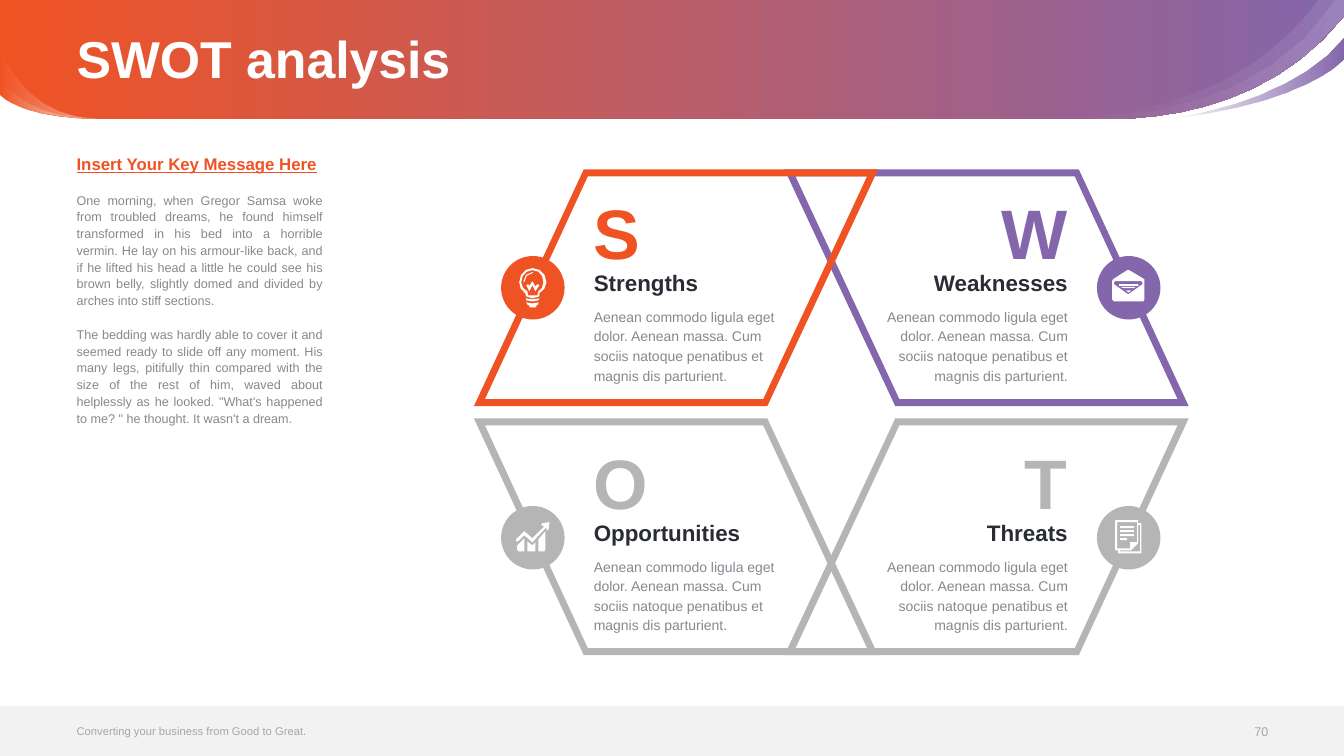
from dataclasses import dataclass

from lxml.etree import SubElement
from pptx import Presentation
from pptx.dml.color import RGBColor
from pptx.enum.shapes import MSO_SHAPE
from pptx.enum.text import MSO_ANCHOR, MSO_AUTO_SIZE, PP_ALIGN
from pptx.oxml.ns import qn
from pptx.util import Pt

EMU_PER_PX = 9144  # 100 px to the inch
SLIDE_WIDTH, SLIDE_HEIGHT = 1333, 750
FRAME_MIRROR_X, FRAME_MIRROR_Y = 1649, 818
ROW_STEP = 248
BADGE_SIZE = 63
MAX_CURVE_STEPS = 10
PX_PER_CURVE_STEP = 4

ORANGE = RGBColor(0xF0, 0x53, 0x23)
PURPLE = RGBColor(0x84, 0x66, 0xAC)
SILVER = RGBColor(0xB5, 0xB5, 0xB5)
WHITE = RGBColor(0xFF, 0xFF, 0xFF)
INK = RGBColor(0x29, 0x2C, 0x34)
BODY_GRAY = RGBColor(0x85, 0x89, 0x8F)
FOOTER_GRAY = RGBColor(0xA6, 0xA6, 0xA6)
FOOTER_FILL = RGBColor(0xF2, 0xF2, 0xF2)

# A contour step is a point (x, y) or a cubic curve (x1, y1, x2, y2, x, y).
Contour = list[tuple[int, ...]]


@dataclass(frozen=True)
class Stop:
    position: float
    color: RGBColor
    opacity: int = 100


@dataclass(frozen=True)
class Swoosh:
    contour: Contour
    stops: tuple[Stop, Stop]


@dataclass(frozen=True)
class Icon:
    left: int
    top: int
    contours: list[Contour]


@dataclass(frozen=True)
class Quadrant:
    heading: str
    color: RGBColor
    right: bool
    lower: bool
    icon: Icon


def bar(left: int, top: int, right: int, bottom: int) -> Contour:
    return [(left, top), (right, top), (right, bottom), (left, bottom)]


GLOSS = (Stop(0.15, WHITE, 0), Stop(1, WHITE, 10))
WISP = (Stop(0, WHITE, 0), Stop(1, WHITE, 50))
SWOOSHES = [
    Swoosh([(1333, 0), (1333, 16), (1266, 100, 1170, 117, 1105, 118), (97, 118),
            (18, 117, 0, 94, 0, 94), (0, 0)], (Stop(0, ORANGE), Stop(1, PURPLE))),
    Swoosh([(1333, 0), (1333, 16), (1224, 153, 1039, 113, 1034, 112),
            (1040, 112, 1232, 139, 1324, 0)], GLOSS),
    Swoosh([(1157, 118), (1157, 118, 1282, 103, 1333, 37), (1333, 59),
            (1333, 59, 1294, 104, 1157, 118)], (Stop(0, PURPLE, 0), Stop(1, PURPLE))),
    Swoosh([(1333, 0), (1333, 16), (1223, 155, 1034, 112, 1034, 112),
            (1189, 122, 1270, 50, 1307, 0)], GLOSS),
    Swoosh([(98, 118), (18, 117, 0, 94, 0, 94), (0, 76), (0, 76, 18, 117, 98, 118)], WISP),
    Swoosh([(98, 118), (18, 117, 0, 94, 0, 94), (0, 45), (0, 45, 18, 116, 98, 118)], WISP),
]

FRAME: list[Contour] = [
    [(761, 403), (470, 403), (579, 168), (871, 168)],
    [(481, 396), (757, 396), (860, 175), (583, 175)],
]

BULB = Icon(515, 266, [
    [(13, 0), (6, 0, 0, 6, 0, 14), (0, 18, 2, 23, 6, 25), (7, 28), (13, 30),
     (20, 28), (20, 25), (24, 23, 27, 18, 27, 14), (27, 6, 21, 0, 13, 0)],
    [(19, 23), (18, 27), (9, 27), (8, 23), (5, 22, 2, 18, 2, 14),
     (2, 7, 7, 2, 13, 2), (20, 2, 24, 7, 24, 14), (24, 18, 22, 22, 19, 23)],
    [(7, 30), (7, 32), (13, 33), (19, 32), (20, 30), (13, 31)],
    [(7, 34), (8, 36), (10, 37), (10, 39), (17, 39), (17, 37), (19, 36), (19, 34), (13, 35)],
    [(16, 18), (13, 13), (10, 18), (9, 16), (7, 17), (10, 23), (13, 17), (16, 23), (20, 17), (18, 16)],
    [(13, 5), (14, 4), (13, 4), (8, 4, 4, 8, 4, 14), (5, 14), (5, 9, 9, 5, 13, 5)],
])
ENVELOPE = Icon(1103, 268, [
    [(32, 9), (17, 0), (15, 0), (1, 9), (0, 11), (0, 29), (2, 31), (31, 31), (32, 29), (32, 11)],
    [(30, 14), (16, 24), (2, 14), (2, 12), (3, 11), (29, 11), (30, 12)],
    [(16, 22), (17, 22), (19, 20), (14, 20)],
    [(12, 18), (21, 18), (23, 17), (9, 17)],
    bar(7, 14, 26, 16),
])
GROWTH = Icon(512, 518, [
    [(1, 27), (2, 29), (8, 29), (8, 16), (1, 23)],
    [(11, 19), (11, 29), (19, 29), (19, 20), (16, 23)],
    [(22, 17), (22, 29), (28, 29), (29, 27), (29, 9), (23, 16)],
    [(26, 1), (25, 2), (26, 4), (28, 4), (16, 16), (8, 9), (0, 17), (0, 19), (2, 19), (8, 13),
     (16, 20), (30, 5), (30, 7), (31, 8), (32, 8), (33, 0)],
])
PAGES = Icon(1106, 516, [
    [(23, 3), (23, 0), (0, 0), (0, 30), (3, 30), (3, 33), (26, 33), (26, 3)],
    [(2, 28), (2, 2), (22, 2), (22, 22), (15, 22), (15, 28)],
    [(25, 31), (5, 31), (5, 30), (16, 30), (23, 23), (23, 5), (25, 5)],
    *[bar(5, top, 19, top + 2) for top in (6, 10, 14)],
    bar(5, 18, 12, 20),
])

QUADRANTS = [
    Quadrant("Weaknesses", PURPLE, True, False, ENVELOPE),
    Quadrant("Opportunities", SILVER, False, True, GROWTH),
    Quadrant("Threats", SILVER, True, True, PAGES),
    Quadrant("Strengths", ORANGE, False, False, BULB),
]
DESCRIPTION = ("Aenean commodo ligula eget dolor. Aenean massa. Cum sociis natoque "
               "penatibus et magnis dis parturient.")
MESSAGE = [
    "Insert Your Key Message Here",
    "One morning, when Gregor Samsa woke from troubled dreams, he found himself transformed in "
    "his bed into a horrible vermin. He lay on his armour-like back, and if he lifted his head a "
    "little he could see his brown belly, slightly domed and divided by arches into stiff sections.",
    "The bedding was hardly able to cover it and seemed ready to slide off any moment. His many "
    "legs, pitifully thin compared with the size of the rest of him, waved about helplessly as he "
    "looked. \"What's happened to me? \" he thought. It wasn't a dream.",
]


def px(*lengths: int) -> list[int]:
    return [length * EMU_PER_PX for length in lengths]


def flatten(contour: Contour) -> list[tuple[float, float]]:
    """Turn a contour into EMU points, sampling long curves more often than short ones."""
    points = [tuple(px(*contour[0]))]
    for step in contour[1:]:
        if len(step) == 2:
            points.append(tuple(px(*step)))
            continue
        x0, y0 = points[-1]
        x1, y1, x2, y2, x3, y3 = px(*step)
        span = max(abs(x3 - x0), abs(y3 - y0)) / EMU_PER_PX
        count = min(MAX_CURVE_STEPS, max(1, int(span // PX_PER_CURVE_STEP)))
        for index in range(1, count + 1):
            t = index / count
            a, b, c, d = (1 - t) ** 3, 3 * t * (1 - t) ** 2, 3 * t * t * (1 - t), t ** 3
            points.append((a * x0 + b * x1 + c * x2 + d * x3, a * y0 + b * y1 + c * y2 + d * y3))
    return points


def add_outline(slide, contours: list[Contour], color: RGBColor | None = None):
    first, *others = [flatten(contour) for contour in contours]
    builder = slide.shapes.build_freeform(*first[0])
    builder.add_line_segments(first[1:], close=True)
    for points in others:
        builder.move_to(*points[0])
        builder.add_line_segments(points[1:], close=True)
    return finish(builder.convert_to_shape(), color)


def finish(shape, color: RGBColor | None):
    shape.shadow.inherit = False
    shape.line.fill.background()
    if color is not None:
        shape.fill.solid()
        shape.fill.fore_color.rgb = color
    return shape


def add_swoosh(slide, swoosh: Swoosh) -> None:
    shape = add_outline(slide, [swoosh.contour])
    shape.fill.gradient()
    shape.fill.gradient_angle = 0
    for gradient_stop, stop in zip(shape.fill.gradient_stops, swoosh.stops):
        gradient_stop.position = stop.position
        gradient_stop.color.rgb = stop.color
    for color_element, stop in zip(shape.element.iter(qn("a:srgbClr")), swoosh.stops):
        if stop.opacity < 100:
            SubElement(color_element, qn("a:alpha")).set("val", str(stop.opacity * 1000))


def place(shape, left: int, top: int, width: int, height: int, anchor=MSO_ANCHOR.TOP):
    shape.left, shape.top, shape.width, shape.height = px(left, top, width, height)
    frame = shape.text_frame
    frame.margin_left = frame.margin_top = frame.margin_right = frame.margin_bottom = 0
    frame.word_wrap, frame.auto_size, frame.vertical_anchor = True, MSO_AUTO_SIZE.NONE, anchor
    return frame


def style(paragraph, size: int, color: RGBColor, bold=False, align=PP_ALIGN.LEFT, spacing=None) -> None:
    paragraph.alignment, paragraph.line_spacing = align, spacing
    font = paragraph.font
    font.name, font.size, font.bold, font.color.rgb = "Arial", Pt(size), bold, color


def add_label(slide, text: str, box: tuple[int, int, int, int], size: int, color: RGBColor,
              anchor=MSO_ANCHOR.TOP, **options) -> None:
    frame = place(slide.shapes.add_textbox(0, 0, 0, 0), *box, anchor)
    frame.text = text
    style(frame.paragraphs[0], size, color, **options)


def add_quadrant(slide, quadrant: Quadrant) -> None:
    add_outline(slide, [[(FRAME_MIRROR_X - x if quadrant.right else x,
                          FRAME_MIRROR_Y - y if quadrant.lower else y) for x, y in contour]
                        for contour in FRAME], quadrant.color)
    drop = ROW_STEP if quadrant.lower else 0
    badge_box = px(1088 if quadrant.right else 497, 254 + drop, BADGE_SIZE, BADGE_SIZE)
    finish(slide.shapes.add_shape(MSO_SHAPE.OVAL, *badge_box), quadrant.color)
    icon = quadrant.icon
    add_outline(slide, [[tuple(value + (icon.top if index % 2 else icon.left)
                               for index, value in enumerate(step)) for step in contour]
                        for contour in icon.contours], WHITE)
    left = 865 if quadrant.right else 589
    align = PP_ALIGN.RIGHT if quadrant.right else PP_ALIGN.LEFT
    add_label(slide, DESCRIPTION, (left, 303 + drop, 194, 79), 10, BODY_GRAY, align=align, spacing=Pt(14))
    add_label(slide, quadrant.heading, (left, 267 + drop, 194, 27), 16, INK, bold=True, align=align)
    add_label(slide, quadrant.heading[0], (left, 188 + drop, 194, 84), 50, quadrant.color,
              bold=True, align=align)


def fill_placeholders(slide) -> None:
    title, body = slide.shapes.title, slide.placeholders[1]
    for placeholder in (title, body):  # bring in front of the header
        placeholder.element.getparent().append(placeholder.element)
    frame = place(title, 76, 5, 1181, 113, MSO_ANCHOR.MIDDLE)
    frame.text = "SWOT analysis"
    style(frame.paragraphs[0], 37, WHITE, bold=True, spacing=0.9)
    frame = place(body, 76, 156, 244, 519)
    frame.text = "\n".join(MESSAGE)
    for index, paragraph in enumerate(frame.paragraphs):
        properties = paragraph._p.get_or_add_pPr()
        properties.set("marL", "0")
        properties.set("indent", "0")
        SubElement(properties, qn("a:buNone"))
        heading = index == 0
        style(paragraph, 12 if heading else 9, ORANGE if heading else BODY_GRAY, heading,
              PP_ALIGN.JUSTIFY, Pt(12))
        paragraph.font.underline = heading
        paragraph.space_before = Pt(0 if heading else 12)


def main() -> None:
    presentation = Presentation()
    presentation.slide_width, presentation.slide_height = px(SLIDE_WIDTH, SLIDE_HEIGHT)
    slide = presentation.slides.add_slide(presentation.slide_layouts[1])
    for swoosh in SWOOSHES:
        add_swoosh(slide, swoosh)
    finish(slide.shapes.add_shape(MSO_SHAPE.RECTANGLE, *px(0, 700, SLIDE_WIDTH, 50)), FOOTER_FILL)
    fill_placeholders(slide)
    add_label(slide, "Converting your business from Good to Great.", (76, 712, 523, 26), 8,
              FOOTER_GRAY, MSO_ANCHOR.MIDDLE)
    add_label(slide, "70", (1195, 713, 63, 26), 9, FOOTER_GRAY, MSO_ANCHOR.MIDDLE, align=PP_ALIGN.RIGHT)
    for quadrant in QUADRANTS:
        add_quadrant(slide, quadrant)
    presentation.save("out.pptx")


if __name__ == "__main__":
    main()
